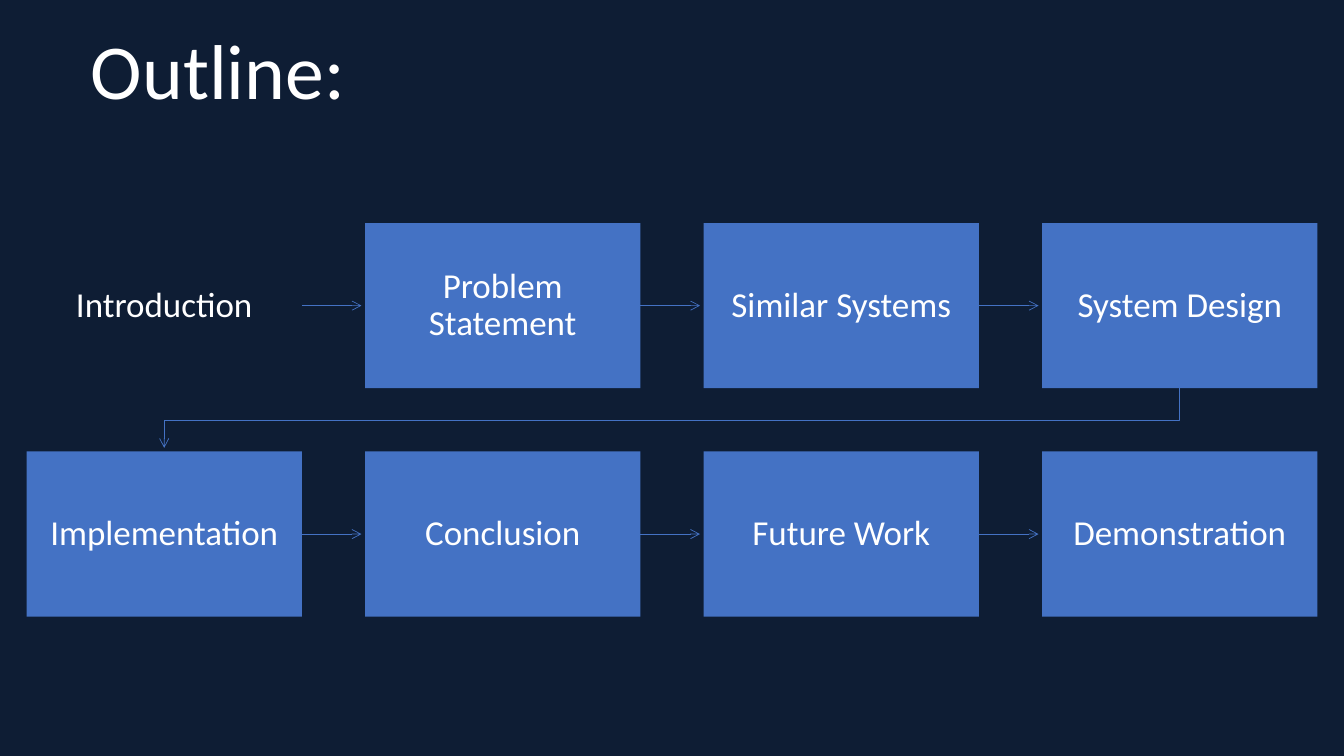
from lxml import etree
from pptx import Presentation
from pptx.dml.color import RGBColor
from pptx.enum.shapes import MSO_CONNECTOR, MSO_SHAPE
from pptx.enum.text import MSO_ANCHOR, PP_ALIGN
from pptx.oxml.ns import qn
from pptx.util import Pt

RECT = MSO_SHAPE.RECTANGLE
STRAIGHT = MSO_CONNECTOR.STRAIGHT
MIDDLE = MSO_ANCHOR.MIDDLE
BOTTOM = MSO_ANCHOR.BOTTOM
CENTER = PP_ALIGN.CENTER

NAVY, BLUE, WHITE = "0E1D34", "4472C4", "FFFFFF"
LEFT, TOP = 19, 159.3
WIDTH, HEIGHT = 196.6, 118
STEP, DROP = 241.8, 163.2
REACH = 42.6
TOPICS = [
    ["Introduction", "Problem Statement", "Similar Systems", "System Design"],
    ["Implementation", "Conclusion", "Future Work", "Demonstration"],
]


def paint(code):
    return RGBColor.from_string(code)


def apply(target, values):
    for name, value in values.items():
        setattr(target, name, value)


class Deck:
    font = "Calibri"
    inset = 13.7

    def __init__(self):
        self.file = Presentation()
        apply(self.file, {"slide_width": Pt(960), "slide_height": Pt(540)})
        self.slide = self.file.slides.add_slide(self.file.slide_layouts[6])
        self.shapes = self.slide.shapes
        fill = self.slide.background.fill
        fill.solid()
        fill.fore_color.rgb = paint(NAVY)

    def label(self, shape, text, size, anchor, space, inset=None):
        frame = shape.text_frame
        apply(frame, {"word_wrap": True, "vertical_anchor": anchor})
        if inset is not None:
            sides = ("left", "top", "right", "bottom")
            apply(frame, {f"margin_{side}": Pt(inset) for side in sides})
        para = frame.paragraphs[0]
        apply(para, {"alignment": CENTER, "line_spacing": space})
        run = para.add_run()
        run.text = text
        apply(run.font, {"name": self.font, "size": Pt(size)})
        run.font.color.rgb = paint(WHITE)

    def title(self, text, left, top, width, height):
        box = self.shapes.add_textbox(*map(Pt, (left, top, width, height)))
        self.label(box, text, 55.5, BOTTOM, 0.8)

    def topic(self, text, left, top, filled):
        place = [Pt(n) for n in (left, top, WIDTH, HEIGHT)]
        if filled:
            box = self.shapes.add_shape(RECT, *place)
            box.shadow.inherit = False
            box.fill.solid()
            box.fill.fore_color.rgb = paint(BLUE)
            box.line.fill.background()
        else:
            box = self.shapes.add_textbox(*place)
        self.label(box, text, 25, MIDDLE, 0.9, self.inset)

    def stroke(self, shape):
        shape.line.color.rgb = paint(BLUE)
        shape.line.width = Pt(0.5)
        line = shape.element.spPr.find(qn("a:ln"))
        etree.SubElement(line, qn("a:tailEnd"), type="arrow")

    def arrow(self, left, top):
        ends = [Pt(n) for n in (left, top, left + REACH, top)]
        link = self.shapes.add_connector(STRAIGHT, *ends)
        self.stroke(link)
        etree.SubElement(link.element.spPr, qn("a:effectLst"))

    def bend(self, points):
        first, *rest = [(Pt(x), Pt(y)) for x, y in points]
        route = self.shapes.build_freeform(*first)
        route.add_line_segments(rest, close=False)
        link = route.convert_to_shape()
        link.fill.background()
        link.shadow.inherit = False
        self.stroke(link)

    def save(self):
        self.file.save("out.pptx")


def main():
    deck = Deck()
    deck.title("Outline:", LEFT, 19, 273.6, 66)
    for row, names in enumerate(TOPICS):
        top = TOP + row * DROP
        for col, name in enumerate(names):
            left = LEFT + col * STEP
            deck.topic(name, left, top, filled=(row, col) != (0, 0))
            if col < len(names) - 1:
                deck.arrow(left + WIDTH, top + HEIGHT / 2)
    start = LEFT + WIDTH / 2
    end = start + 3 * STEP
    base = TOP + HEIGHT
    turn = base + 23
    deck.bend([(end, base), (end, turn), (start, turn), (start, base + REACH)])
    deck.save()


if __name__ == "__main__":
    main()
